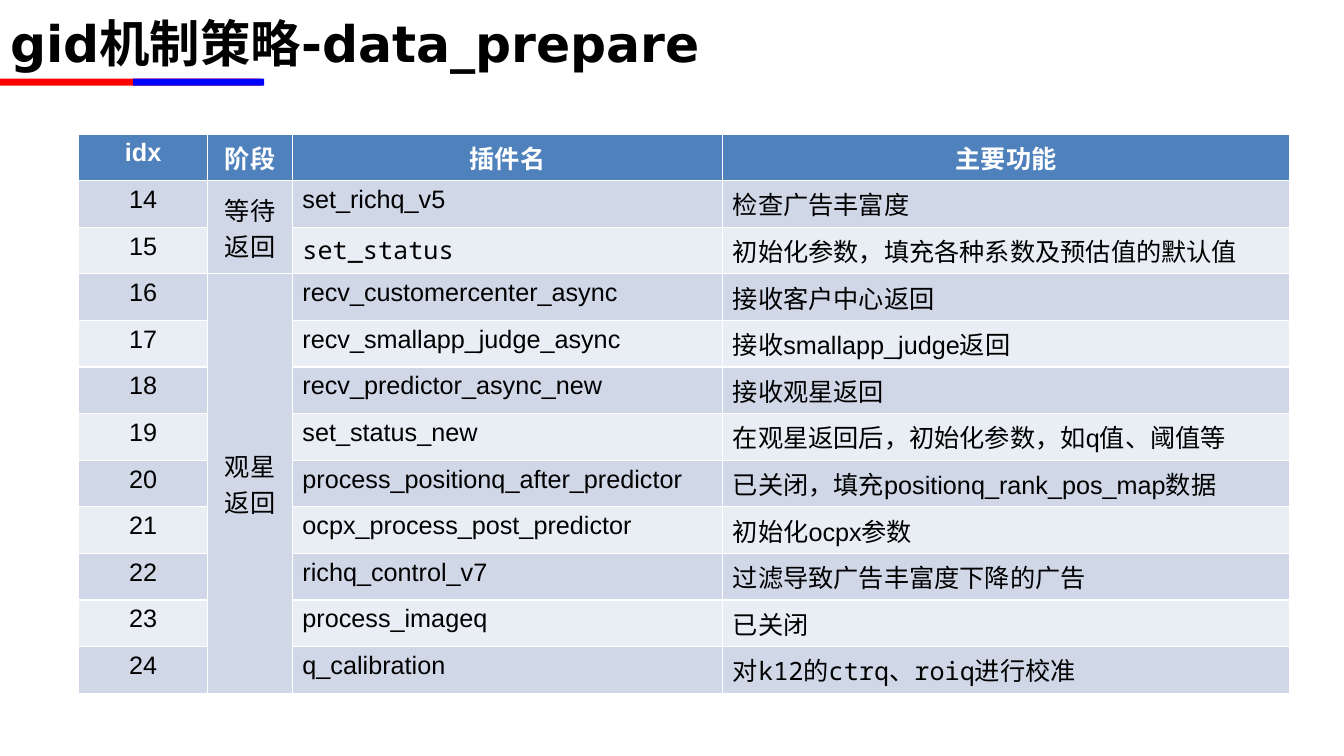
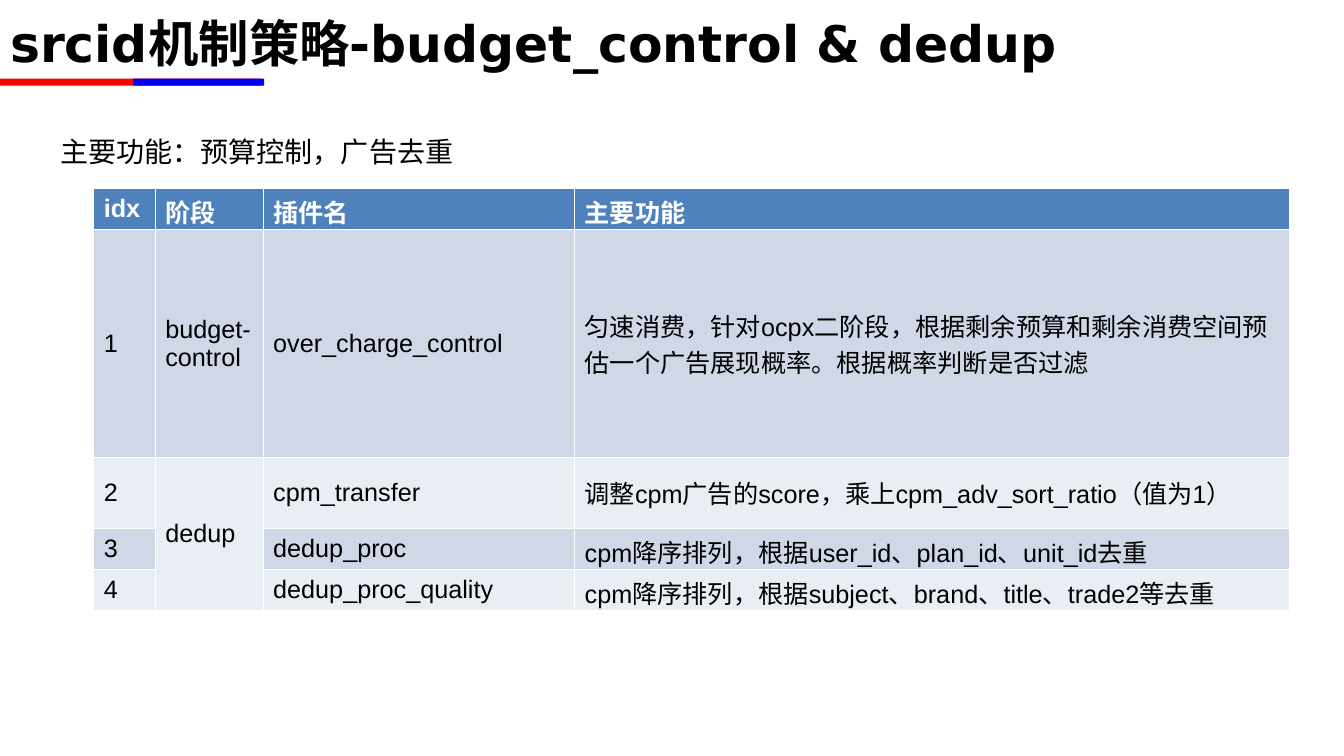
from dataclasses import dataclass
from typing import Optional, Union

from pptx import Presentation
from pptx.dml.color import RGBColor
from pptx.enum.lang import MSO_LANGUAGE_ID as LANG
from pptx.enum.shapes import MSO_SHAPE as SHAPE
from pptx.enum.text import MSO_ANCHOR as ANCHOR, MSO_AUTO_SIZE as AUTO_SIZE, PP_ALIGN as ALIGN
from pptx.slide import Slide
from pptx.text.text import TextFrame
from pptx.util import Inches, Pt

COLORS = {
    "red": "FF0000", "blue": "0000FF", "black": "000000", "white": "FFFFFF",
    "header": "4F81BD", "odd": "D0D8E8", "even": "E9EDF4",
}
TITLE_FONT, BODY_FONT, MONO_FONT = "DejaVu Sans", "Arial", "Noto Sans Mono"
HEADERS = ("idx", "阶段", "插件名", "主要功能")


@dataclass(frozen=True)
class Mono:
    """Text set in the monospaced font."""
    text: str


Part = Union[str, Mono]
Content = Union[Part, tuple[Part, ...]]
Row = tuple[Optional[Content], ...]  # None continues the cell above


@dataclass(frozen=True)
class Band:
    left: float
    width: float
    color: str


@dataclass(frozen=True)
class PluginTable:
    left: float
    top: float
    col_widths: tuple[float, ...]
    rows: tuple[Row, ...]
    row_heights: tuple[float, ...]  # header first
    centered_cols: tuple[int, ...] = ()
    header_align: ALIGN = ALIGN.LEFT
    middle_cols: tuple[int, ...] = (0, 1, 2, 3)
    header_anchor: ANCHOR = ANCHOR.MIDDLE


BANDS = (Band(0, 2.59, "red"), Band(1.32, 1.3, "blue"))

DATA_PREPARE = PluginTable(
    left=0.78, top=1.33, col_widths=(1.28, 0.84, 4.27, 5.62),
    row_heights=(0.41,) * 12,
    centered_cols=(0, 1), header_align=ALIGN.CENTER,
    middle_cols=(1,), header_anchor=ANCHOR.TOP,
    rows=(
        ("14", "等待返回", "set_richq_v5", Mono("检查广告丰富度")),
        ("15", None, Mono("set_status"), Mono("初始化参数，填充各种系数及预估值的默认值")),
        ("16", "观星返回", "recv_customercenter_async", "接收客户中心返回"),
        ("17", None, "recv_smallapp_judge_async", "接收smallapp_judge返回"),
        ("18", None, "recv_predictor_async_new", "接收观星返回"),
        ("19", None, "set_status_new", "在观星返回后，初始化参数，如q值、阈值等"),
        ("20", None, "process_positionq_after_predictor", "已关闭，填充positionq_rank_pos_map数据"),
        ("21", None, "ocpx_process_post_predictor", "初始化ocpx参数"),
        ("22", None, "richq_control_v7", "过滤导致广告丰富度下降的广告"),
        ("23", None, "process_imageq", "已关闭"),
        ("24", None, "q_calibration", Mono("对k12的ctrq、roiq进行校准")),
    ),
)

BUDGET_DEDUP = PluginTable(
    left=0.93, top=1.87, col_widths=(0.61, 1.07, 3.09, 7.09),
    row_heights=(0.41, 2.26, 0.41, 0.41, 0.41),
    rows=(
        ("1", "budget-\ncontrol", "over_charge_control",
         ("匀速消费，针对ocpx二阶段，",
          Mono("根据剩余预算和剩余消费空间预估一个广告展现概率。根据概率判断是否过滤"))),
        ("2", "dedup", "cpm_transfer", "调整cpm广告的score，乘上cpm_adv_sort_ratio（值为1）"),
        ("3", None, "dedup_proc", "cpm降序排列，根据user_id、plan_id、unit_id去重"),
        ("4", None, "dedup_proc_quality", "cpm降序排列，根据subject、brand、title、trade2等去重"),
    ),
)


def rgb(name: str) -> RGBColor:
    return RGBColor.from_string(COLORS[name])


def write_text(tf: TextFrame, content: Content, *, size: float = 18, font: str = BODY_FONT,
               color: str = "black", bold: bool = False, align: ALIGN = ALIGN.LEFT) -> None:
    """Fill a text frame; a newline starts a new paragraph."""
    p = tf.paragraphs[0]
    p.alignment = align
    for part in content if isinstance(content, tuple) else (content,):
        mono = isinstance(part, Mono)
        for i, line in enumerate((part.text if mono else part).split("\n")):
            if i:
                p = tf.add_paragraph()
                p.alignment = align
            r = p.add_run()
            r.text = line
            r.font.name = MONO_FONT if mono else font
            r.font.size = Pt(size)
            r.font.bold = bold
            r.font.color.rgb = rgb(color)
            r.font.language_id = LANG.SIMPLIFIED_CHINESE


def add_titled_slide(prs: Presentation, title: str) -> Slide:
    s = prs.slides.add_slide(prs.slide_layouts[5])
    for band in BANDS:
        sp = s.shapes.add_shape(SHAPE.RECTANGLE, Inches(band.left), Inches(0.78),
                                Inches(band.width), Inches(0.07))
        sp.shadow.inherit = False
        sp.fill.solid()
        sp.fill.fore_color.rgb = rgb(band.color)
        sp.line.fill.background()
    sp = s.shapes.title
    sp.left, sp.top, sp.width, sp.height = Inches(0), Inches(0), Inches(12), Inches(0.85)
    tf = sp.text_frame
    tf.auto_size = AUTO_SIZE.NONE
    tf.vertical_anchor = ANCHOR.MIDDLE
    write_text(tf, title, size=36, font=TITLE_FONT, bold=True)
    return s


def add_summary(s: Slide, text: str) -> None:
    sp = s.shapes.add_textbox(Inches(0), Inches(1.12), Inches(13.33), Inches(6.38))
    tf = sp.text_frame
    tf.word_wrap = True
    tf.margin_left = Inches(0.6)
    write_text(tf, text, size=20)
    tf.paragraphs[0].line_spacing = 1.5


def add_plugin_table(s: Slide, spec: PluginTable) -> None:
    rows = (HEADERS,) + spec.rows
    table = s.shapes.add_table(len(rows), len(HEADERS), Inches(spec.left), Inches(spec.top),
                               Inches(sum(spec.col_widths)), Inches(sum(spec.row_heights))).table
    for col, width in zip(table.columns, spec.col_widths):
        col.width = Inches(width)
    for row, height in zip(table.rows, spec.row_heights):
        row.height = Inches(height)
    for i, row in enumerate(rows):
        is_header = i == 0
        fill = "header" if is_header else "odd" if i % 2 else "even"
        for j, content in enumerate(row):
            cell = table.cell(i, j)
            cell.fill.solid()
            cell.fill.fore_color.rgb = rgb(fill)
            if content is None:
                continue
            end = i
            while end + 1 < len(rows) and rows[end + 1][j] is None:
                end += 1
            if end > i:
                cell.merge(table.cell(end, j))
            if is_header:
                cell.vertical_anchor = spec.header_anchor
                write_text(cell.text_frame, content, color="white", bold=True,
                           align=spec.header_align)
            else:
                cell.vertical_anchor = ANCHOR.MIDDLE if j in spec.middle_cols else ANCHOR.TOP
                write_text(cell.text_frame, content,
                           align=ALIGN.CENTER if j in spec.centered_cols else ALIGN.LEFT)


def main() -> None:
    prs = Presentation()
    prs.slide_width, prs.slide_height = Inches(13.33), Inches(7.5)

    s = add_titled_slide(prs, "gid机制策略-data_prepare")
    add_plugin_table(s, DATA_PREPARE)

    s = add_titled_slide(prs, "srcid机制策略-budget_control & dedup")
    add_summary(s, "主要功能：预算控制，广告去重")
    add_plugin_table(s, BUDGET_DEDUP)

    prs.save("out.pptx")


if __name__ == "__main__":
    main()
